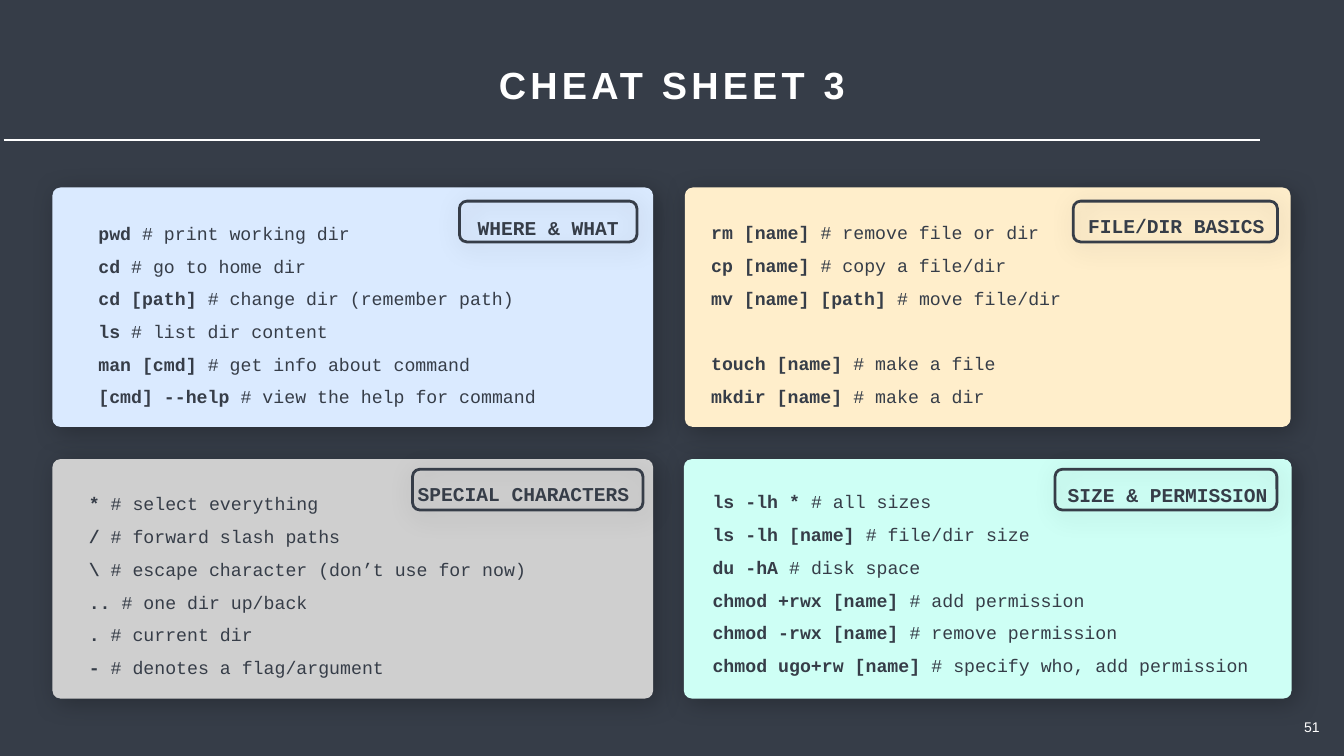
from dataclasses import dataclass

from lxml import etree
from pptx import Presentation
from pptx import util as u
from pptx.dml.color import RGBColor
from pptx.enum import shapes, text
from pptx.oxml import ns

SLATE = RGBColor(0x36, 0x3D, 0x48)
WHITE = RGBColor(0xFF, 0xFF, 0xFF)
BLACK = RGBColor(0x00, 0x00, 0x00)
BLUE = RGBColor(0xDA, 0xEA, 0xFF)
CREAM = RGBColor(0xFF, 0xEE, 0xCB)
GREY = RGBColor(0xCF, 0xCF, 0xCF)
MINT = RGBColor(0xCE, 0xFF, 0xF5)

MONO = "Courier New"
SANS = "Arial"
TOP_ROW, BOTTOM_ROW = 3.72, 9.11
CARD_HEIGHT, BADGE_HEIGHT = 4.75, 0.81
LINE_PITCH = 46.8

Box = tuple[float, float, float, float]
Run = tuple[str, bool]


@dataclass(frozen=True)
class Card:
    heading: str
    color: RGBColor
    box: Box
    badge: Box
    heading_box: Box
    commands_box: Box
    commands: tuple[tuple[str, str], ...]
    group_start: int | None = None


CARDS = (
    Card("FILE/DIR BASICS", CREAM,
         (13.58, TOP_ROW, 12.01, CARD_HEIGHT), (21.28, 3.99, 4.05, BADGE_HEIGHT),
         (21.39, 4.02, 3.87, 0.43), (14.1, 4.18, 10.09, 3.54),
         (("rm [name]", "remove file or dir"),
          ("cp [name]", "copy a file/dir"),
          ("mv [name] [path]", "move file/dir"),
          ("touch [name]", "make a file"),
          ("mkdir [name]", "make a dir")), group_start=3),
    Card("SPECIAL CHARACTERS ", GREY,
         (1.04, BOTTOM_ROW, 11.91, CARD_HEIGHT), (8.18, 9.31, 4.57, BADGE_HEIGHT),
         (8.18, 9.33, 4.63, 0.43), (1.76, 9.56, 10.08, 4.17),
         (("*", "select everything"),
          ("/", "forward slash paths"),
          ("\\", "escape character (don’t use for now)"),
          ("..", "one dir up/back"),
          (".", "current dir"),
          ("-", "denotes a flag/argument"))),
    Card("SIZE & PERMISSION", MINT,
         (13.56, BOTTOM_ROW, 12.05, CARD_HEIGHT), (20.92, 9.31, 4.4, BADGE_HEIGHT),
         (21, 9.35, 4.3, 0.43), (14.13, 9.52, 11.46, 4.17),
         (("ls -lh *", "all sizes"),
          ("ls -lh [name]", "file/dir size"),
          ("du -hA", "disk space"),
          ("chmod +rwx [name]", "add permission"),
          ("chmod -rwx [name]", "remove permission"),
          ("chmod ugo+rw [name]", "specify who, add permission"))),
    Card("WHERE & WHAT", BLUE,
         (1.04, TOP_ROW, 11.91, CARD_HEIGHT), (9.11, 3.99, 3.52, BADGE_HEIGHT),
         (9.13, 4.06, 3.48, 0.43), (1.95, 4.19, 10.09, 4.17),
         (("pwd", "print working dir"),
          ("cd", "go to home dir"),
          ("cd [path]", "change dir (remember path)"),
          ("ls", "list dir content"),
          ("man [cmd]", "get info about command"),
          ("[cmd] --help", "view the help for command"))),
)


def add_text(slide, box: Box, paragraphs: list[list[Run]], *, size: float,
             font: str = MONO, color: RGBColor = SLATE, centered: bool = False,
             wrap: bool = True, inset: float = 0, line_spacing: float | None = None,
             tracking: float = 0, group_start: int | None = None) -> None:
    frame = slide.shapes.add_textbox(*map(u.Inches, box)).text_frame
    frame.word_wrap = wrap
    frame.auto_size = text.MSO_AUTO_SIZE.SHAPE_TO_FIT_TEXT
    frame.margin_left = frame.margin_right = u.Inches(inset)
    frame.margin_top = frame.margin_bottom = u.Inches(inset)
    for index, runs in enumerate(paragraphs):
        paragraph = frame.add_paragraph() if index else frame.paragraphs[0]
        paragraph.alignment = text.PP_ALIGN.CENTER if centered else text.PP_ALIGN.LEFT
        if line_spacing:
            paragraph.line_spacing = line_spacing
        if index and index == group_start:
            paragraph.space_before = u.Pt(LINE_PITCH)
        for words, bold in runs:
            run = paragraph.add_run()
            run.text = words
            run.font.name = font
            run.font.size = u.Pt(size)
            run.font.bold = bold
            run.font.color.rgb = color
            if tracking:
                run.font._element.set("spc", str(int(tracking * 100)))


def add_panel(slide, box: Box, corner: float, *, fill: RGBColor | None = None,
              outline: RGBColor | None = None) -> None:
    panel = slide.shapes.add_shape(shapes.MSO_SHAPE.ROUNDED_RECTANGLE, *map(u.Inches, box))
    panel.adjustments[0] = corner
    if fill is None:
        panel.fill.background()
    else:
        panel.fill.solid()
        panel.fill.fore_color.rgb = fill
    if outline is None:
        panel.line.fill.background()
    else:
        panel.line.color.rgb = outline
        panel.line.width = u.Pt(4)
    panel.shadow.inherit = False
    effects = panel._element.spPr.find(ns.qn("a:effectLst"))
    shadow = etree.SubElement(effects, ns.qn("a:outerShdw"), blurRad=str(u.Pt(36)),
                              dist=str(u.Pt(8)), dir=str(45 * 60000), rotWithShape="0")
    tint = etree.SubElement(shadow, ns.qn("a:srgbClr"), val=str(BLACK))
    etree.SubElement(tint, ns.qn("a:alpha"), val="26000")


def add_card(slide, card: Card) -> None:
    add_panel(slide, card.box, 0.033, fill=card.color)
    lines = [[(f"{command} ", True), (f"# {meaning}", False)]
             for command, meaning in card.commands]
    add_text(slide, card.commands_box, lines, size=26, line_spacing=1.5,
             group_start=card.group_start)
    add_panel(slide, card.badge, 0.182, outline=SLATE)
    add_text(slide, card.heading_box, [[(card.heading, True)]], size=28,
             line_spacing=1.5, centered=True)


def add_rule(slide, left: float, right: float, top: float) -> None:
    rule = slide.shapes.add_connector(shapes.MSO_CONNECTOR.STRAIGHT, u.Inches(left),
                                      u.Inches(top), u.Inches(right), u.Inches(top))
    rule.line.color.rgb = WHITE
    rule.line.width = u.Pt(3)
    etree.SubElement(rule._element.spPr, ns.qn("a:effectLst"))


def main() -> None:
    deck = Presentation()
    deck.slide_width, deck.slide_height = u.Inches(26.65), u.Inches(15)
    slide = deck.slides.add_slide(deck.slide_layouts[6])
    slide.background.fill.solid()
    slide.background.fill.fore_color.rgb = SLATE

    add_text(slide, (9.74, 1.17, 7.17, 1.01), [[("CHEAT SHEET 3", True)]], size=54,
             font=SANS, color=WHITE, centered=True, wrap=False, inset=0.05, tracking=6)
    for card in CARDS:
        add_card(slide, card)
    add_text(slide, (25.76, 14.16, 0.51, 0.54), [[("51", False)]], size=20,
             font=SANS, color=WHITE, centered=True, wrap=False, inset=0.1)
    add_rule(slide, 0.07, 24.98, 2.78)
    deck.save("out.pptx")


if __name__ == "__main__":
    main()
